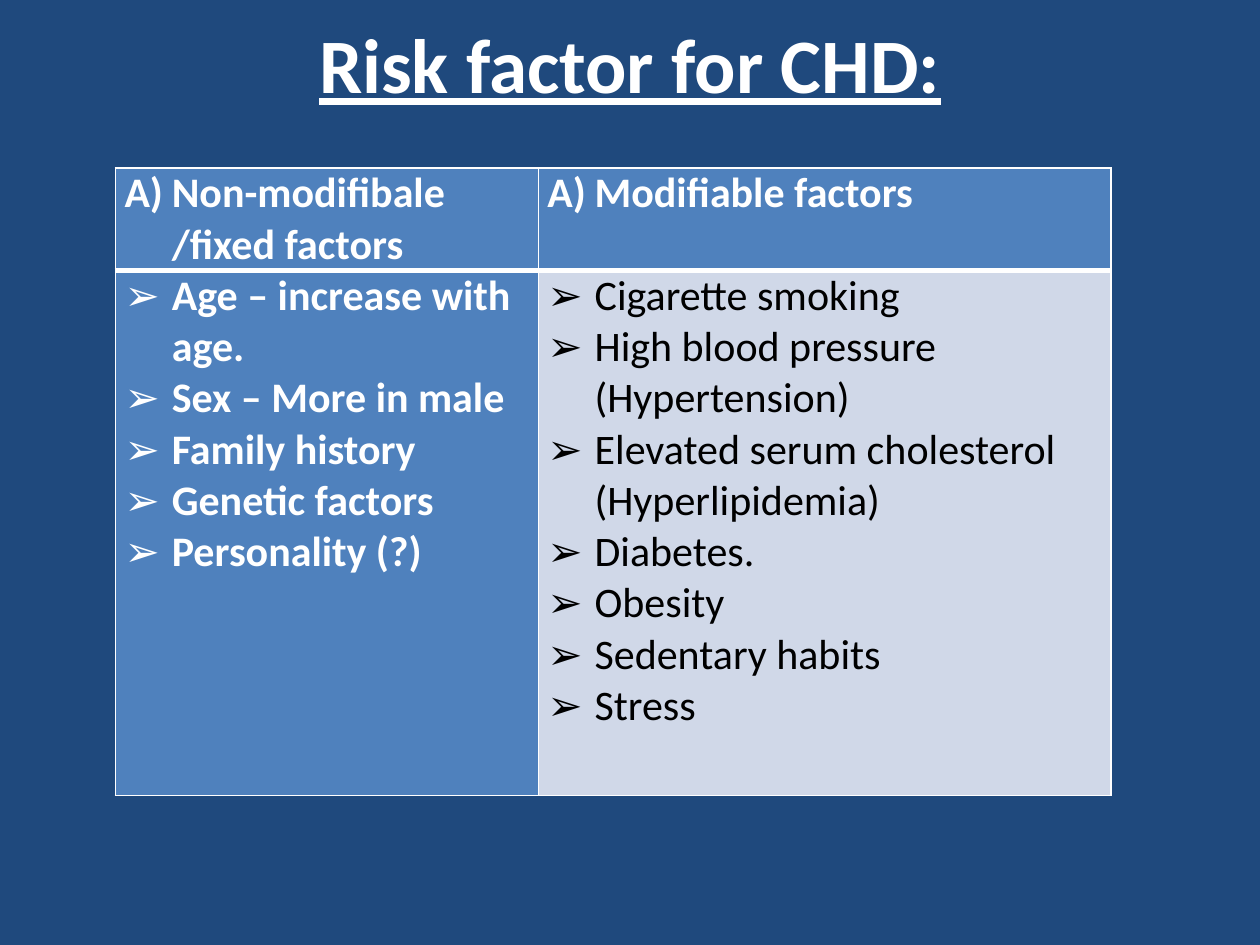
from dataclasses import dataclass

from lxml import etree
from pptx import Presentation
from pptx.dml.color import RGBColor
from pptx.enum import text as tx
from pptx.oxml import ns
from pptx.util import Pt


@dataclass(frozen=True)
class Theme:
    """Colours, font and type sizes of the slide."""
    font: str = "Calibri"
    navy: str = "1F497D"
    blue: str = "4F81BD"
    pale: str = "D0D8E8"
    white: str = "FFFFFF"
    black: str = "000000"
    title_size: int = 44
    body_size: int = 24


@dataclass(frozen=True)
class FactorCell:
    """One table cell: its entries and their look."""
    entries: tuple[str, ...]
    fill: str
    color: str
    bold: bool
    lettered: bool = False


THEME = Theme()
HEADER_RULE, THIN_RULE = 3, 1
COLUMN_WIDTHS = (241.6, 327.2)
ROW_HEIGHTS = (58.5, 300)

FACTORS = (
    (FactorCell(("Non-modifibale /fixed factors",), THEME.blue, THEME.white, True, True),
     FactorCell(("Modifiable factors",), THEME.blue, THEME.white, True, True)),
    (FactorCell(("Age – increase with age.", "Sex – More in male", "Family history",
                 "Genetic factors", "Personality (?)"), THEME.blue, THEME.white, True),
     FactorCell(("Cigarette smoking", "High blood pressure (Hypertension)",
                 "Elevated serum cholesterol (Hyperlipidemia)", "Diabetes.", "Obesity",
                 "Sedentary habits", "Stress"), THEME.pale, THEME.black, False)),
)


def write(paragraph, text: str, *, size: int, color: str, bold: bool = False,
          underline: bool = False) -> None:
    """Add one formatted run to a paragraph."""
    run = paragraph.add_run()
    run.text = text
    font = run.font
    font.name, font.size = THEME.font, Pt(size)
    font.bold, font.underline = bold, underline
    font.color.rgb = RGBColor.from_string(color)


def add_bullet(paragraph, lettered: bool) -> None:
    """Give a paragraph a hanging letter or arrow bullet."""
    props = paragraph._p.get_or_add_pPr()
    indent = Pt(27)
    props.set("marL", str(indent))
    props.set("indent", str(-indent))
    if lettered:
        etree.SubElement(props, ns.qn("a:buFont"), typeface="+mj-lt")
        etree.SubElement(props, ns.qn("a:buAutoNum"), type="alphaUcParenR")
    else:
        etree.SubElement(props, ns.qn("a:buFont"), typeface=THEME.font)
        etree.SubElement(props, ns.qn("a:buChar"), char="➢")


def set_borders(cell, **widths: float) -> None:
    """Draw white cell borders; the keywords are sides L, R, T and B."""
    props = cell._tc.get_or_add_tcPr()
    for position, side in enumerate("LRTB"):
        line = etree.Element(ns.qn(f"a:ln{side}"), w=str(Pt(widths.get(side, THIN_RULE))))
        fill = etree.SubElement(line, ns.qn("a:solidFill"))
        etree.SubElement(fill, ns.qn("a:srgbClr"), val=THEME.white)
        props.insert(position, line)


def fill_cell(cell, factor: FactorCell) -> None:
    """Write the entries of a cell and set its fill and margins."""
    cell.margin_left = cell.margin_right = Pt(5.2)
    cell.margin_top = cell.margin_bottom = 0
    cell.fill.solid()
    cell.fill.fore_color.rgb = RGBColor.from_string(factor.fill)
    frame = cell.text_frame
    for index, entry in enumerate(factor.entries):
        paragraph = frame.add_paragraph() if index else frame.paragraphs[0]
        add_bullet(paragraph, factor.lettered)
        write(paragraph, entry, size=THEME.body_size, color=factor.color, bold=factor.bold)


def add_title(slide, text: str) -> None:
    """Place and format the slide title."""
    title = slide.shapes.title
    title.left, title.top, title.width, title.height = Pt(54), Pt(0), Pt(612), Pt(72)
    frame = title.text_frame
    frame.vertical_anchor = tx.MSO_ANCHOR.MIDDLE
    heading = frame.paragraphs[0]
    heading.alignment = tx.PP_ALIGN.CENTER
    write(heading, text, size=THEME.title_size, color=THEME.white, bold=True, underline=True)


def add_factor_table(slide) -> None:
    """Add the table of fixed and modifiable factors."""
    table = slide.shapes.add_table(
        len(ROW_HEIGHTS), len(COLUMN_WIDTHS), Pt(66), Pt(96),
        Pt(sum(COLUMN_WIDTHS)), Pt(sum(ROW_HEIGHTS))).table
    table.horz_banding = False
    for column, width in zip(table.columns, COLUMN_WIDTHS):
        column.width = Pt(width)
    for row, height, factors in zip(table.rows, ROW_HEIGHTS, FACTORS):
        row.height = Pt(height)
        for cell, factor in zip(row.cells, factors):
            fill_cell(cell, factor)
            set_borders(cell, **{"B" if factor.lettered else "T": HEADER_RULE})


def main() -> None:
    """Build and save the slide."""
    deck = Presentation()
    deck.slide_width, deck.slide_height = Pt(720), Pt(540)
    slide = deck.slides.add_slide(deck.slide_layouts.get_by_name("Title Only"))
    slide.background.fill.solid()
    slide.background.fill.fore_color.rgb = RGBColor.from_string(THEME.navy)
    add_title(slide, "Risk factor for CHD:")
    add_factor_table(slide)
    deck.save("out.pptx")


main()
